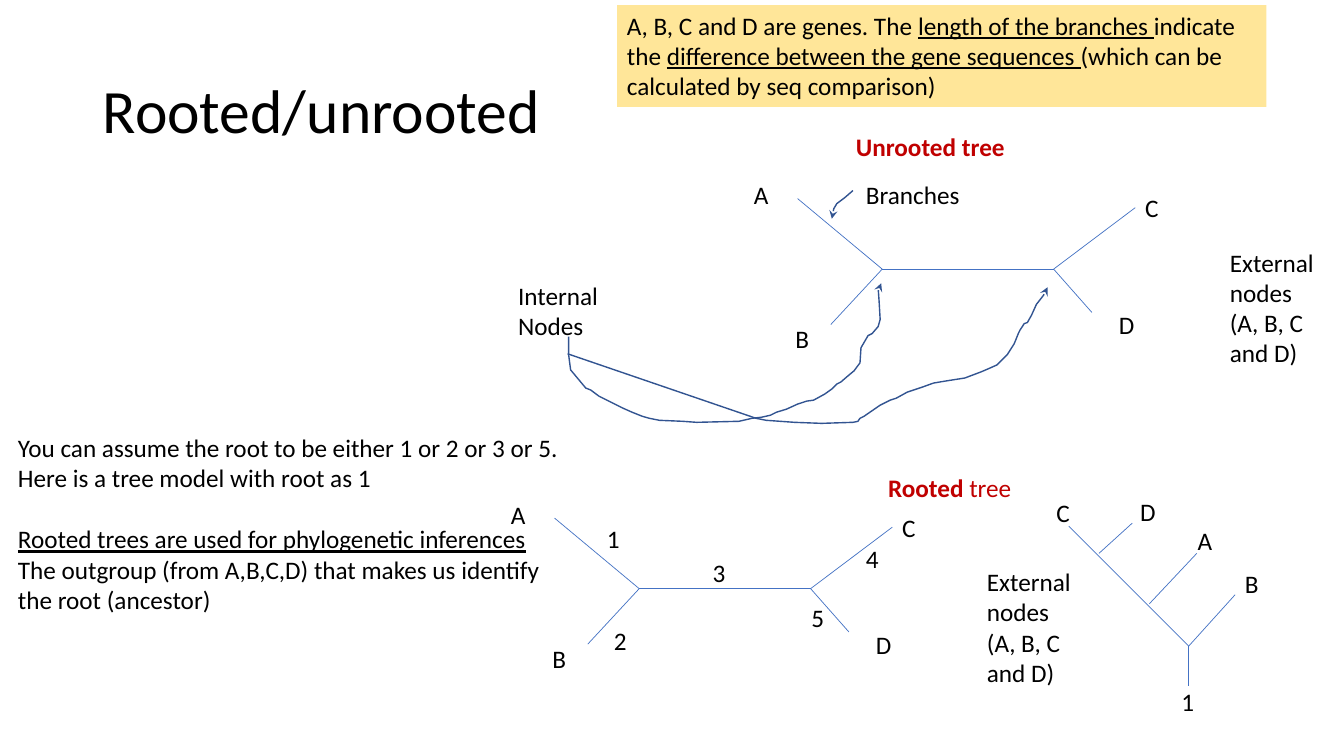
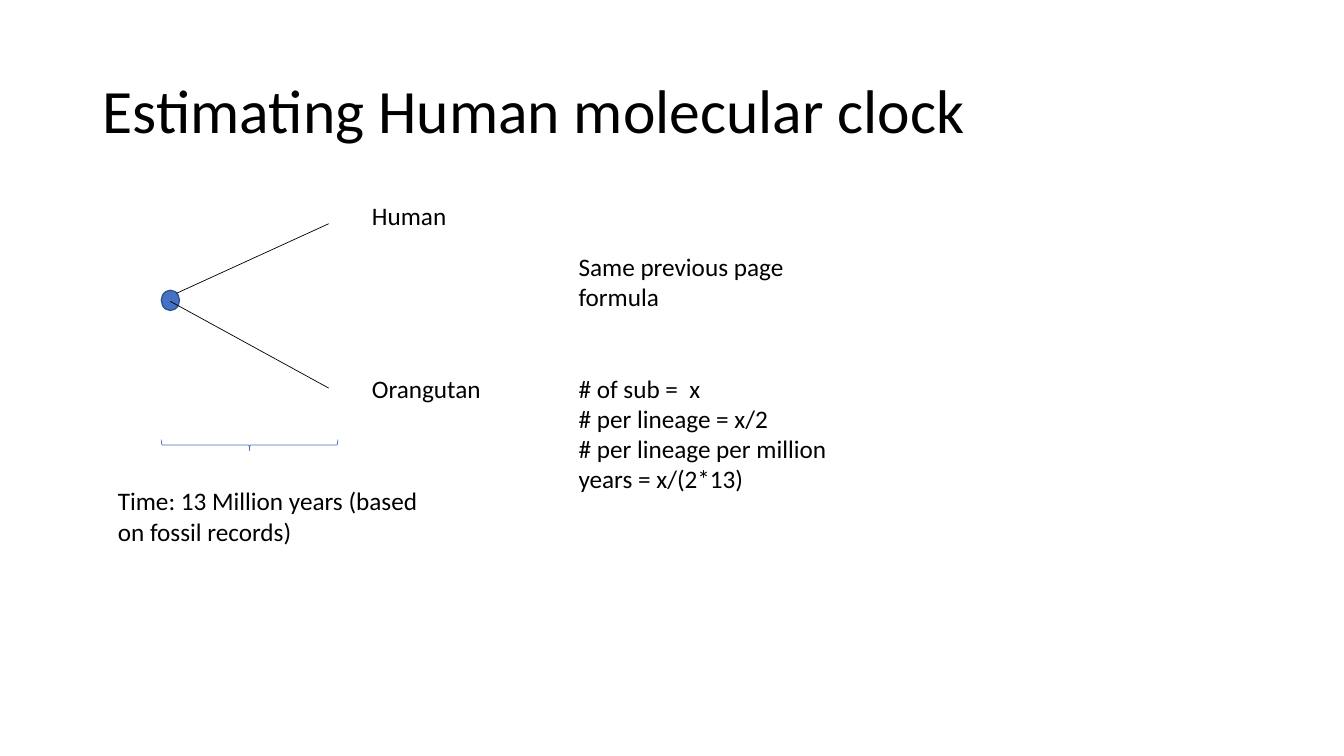
from dataclasses import dataclass

from pptx import Presentation
from pptx.dml.color import RGBColor
from pptx.enum.shapes import MSO_CONNECTOR, MSO_SHAPE
from pptx.enum.text import MSO_ANCHOR, PP_ALIGN
from pptx.oxml.ns import qn
from pptx.util import Inches, Pt
from lxml.etree import SubElement


@dataclass(frozen=True)
class Theme:
    font: str = "Calibri"
    title_size: int = 44
    body_size: int = 18
    blank_line: int = 22
    thin: float = 0.5
    ink_width: float = 1
    black: str = "000000"
    blue: str = "4472C4"
    ink: str = "325491"
    red: str = "C00000"
    sand: str = "FFE699"


T = Theme()
WIDTH, HEIGHT = 13.33, 7.5
TITLE_BOX = (0.92, 0.4, 11.5, 1.45)
LINE_H = 0.4

# A paragraph is a string or a list of runs; a run is (text, style letters).
PLAIN, BOLD, UNDERLINE = "", "b", "u"

# Slide 1: four-gene tree, measured from its left internal node
FORK = 1.7
GENE_BRANCHES = [
    ((-0.84, -0.7), (0, 0)), ((0, 0), (FORK, 0)), ((FORK, 0), (2.51, -0.61)),
    ((FORK, 0), (2.08, 0.43)), ((0, 0), (-0.51, 0.55)),
]
GENE_LABELS = [("A", -1.37, -0.94), ("C", 2.51, -0.81),
               ("D", 2.25, 0.35), ("B", -0.96, 0.49)]
UNROOTED_NODE, NUMBERED_NODE = (8.75, 2.67), (6.34, 5.84)
BRANCH_NUMBERS = [("1", -0.42, -0.7), ("2", -0.35, 0.31), ("3", 0.63, -0.36),
                  ("4", 2.15, -0.5), ("5", 1.61, 0.09)]

# Slide 1: tree rooted at 1, measured from its root node
ROOT_NODE = (11.79, 6.41)
ROOTED_BRANCHES = [
    ((-1.19, -1.19), (0, 0)), ((-0.89, -0.92), (-0.56, -1.22)),
    ((-0.39, -0.42), (0.08, -0.92)), ((0, 0), (0.46, -0.51)), ((0, 0), (0, 0.4)),
]
ROOTED_LABELS = [("C", -1.41, -1.53), ("D", -0.58, -1.54), ("A", -0.01, -1.25),
                 ("B", 0.46, -0.82), ("1", -0.17, 0.35)]

EXTERNAL = ["External nodes (A, B, C and D)"]
TREE_NOTES = [
    ((8.49, 1.73, 1.52, LINE_H), ["Branches"], T.black),
    ((12.1, 2.4, 1.1, 1.31), EXTERNAL, T.black),
    ((9.69, 5.57, 1.1, 1.31), EXTERNAL, T.black),
    ((5.04, 2.73, 1.1, 0.71), ["Internal Nodes"], T.black),
    ((8.39, 1.25, 2.09, LINE_H), [[("Unrooted tree", BOLD)]], T.red),
    ((8.71, 4.64, 2.09, LINE_H), [[("Rooted", BOLD), (" tree", PLAIN)]], T.red),
]
ROOT_NOTE = [
    "You can assume the root to be either 1 or 2 or 3 or 5. "
    "Here is a tree model with root as 1",
    [("Rooted trees are used for phylogenetic inferences", UNDERLINE)],
    "The outgroup (from A,B,C,D) that makes us identify the root (ancestor)",
]
GENE_NOTE = [[
    ("A, B, C and D are genes. The ", PLAIN),
    ("length of the branches ", UNDERLINE),
    ("indicate the ", PLAIN),
    ("difference between the gene sequences ", UNDERLINE),
    ("(which can be calculated by seq comparison)", PLAIN),
]]

# Hand-drawn arrows; each ends in its arrowhead
INK_ARROWS = [
    [(8.46, 1.89), (8.38, 1.96), (8.3, 2.02), (8.27, 2.07), (8.25, 2.17)],
    [(5.64, 3.34), (5.64, 3.52), (5.66, 3.67), (5.71, 3.73), (5.81, 3.85),
     (5.86, 3.87), (5.94, 3.93), (6.06, 3.99), (6.18, 4.05), (6.27, 4.09),
     (6.37, 4.13), (6.44, 4.15), (6.54, 4.17), (6.77, 4.18), (6.91, 4.19),
     (7.33, 4.18), (7.46, 4.15), (7.55, 4.14), (7.64, 4.12), (7.7, 4.09),
     (7.8, 4.06), (7.91, 4.01), (8, 3.98), (8.07, 3.97), (8.18, 3.91),
     (8.25, 3.86), (8.3, 3.81), (8.34, 3.79), (8.41, 3.73), (8.47, 3.68),
     (8.53, 3.6), (8.54, 3.45), (8.61, 3.33), (8.65, 3.31), (8.71, 3.24),
     (8.73, 3.17), (8.72, 3), (8.71, 2.86), (8.74, 2.81)],
    [(5.63, 3.51), (7.5, 4.15), (7.6, 4.17), (7.88, 4.19), (8.15, 4.2),
     (8.46, 4.19), (8.51, 4.18), (8.53, 4.15), (8.57, 4.13), (8.73, 4.02),
     (8.83, 3.97), (8.89, 3.95), (9, 3.89), (9.15, 3.84), (9.26, 3.8),
     (9.38, 3.78), (9.57, 3.75), (9.73, 3.69), (9.8, 3.66), (9.89, 3.62),
     (9.99, 3.52), (10.06, 3.41), (10.1, 3.31), (10.12, 3.27), (10.16, 3.21),
     (10.19, 3.2), (10.23, 3.13), (10.28, 3.02), (10.35, 2.93), (10.39, 2.85)],
]

# Slide 2
LINEAGES = [((1.75, 2.91), (3.26, 2.22)), ((1.69, 2.99), (3.26, 3.85))]
CLOCK_NOTES = [
    ((3.59, 1.94, 2.29, LINE_H), ["Human"]),
    ((3.59, 3.65, 2.29, LINE_H), ["Orangutan"]),
    ((1.07, 4.77, 3.22, 0.71), ["Time: 13 Million years (based on fossil records)"]),
]
FORMULA = ["Same previous page formula", "# of sub =  x", "# per lineage = x/2",
           "# per lineage per million years = x/(2*13)"]


def rgb(color):
    return RGBColor.from_string(color)


def inches(values):
    return [Inches(v) for v in values]


def set_font(r, size, color, style=PLAIN):
    r.font.name, r.font.size = T.font, Pt(size)
    r.font.color.rgb = rgb(color)
    r.font.bold, r.font.underline = BOLD in style, UNDERLINE in style


def set_line(s, color, width):
    s.line.color.rgb = rgb(color)
    s.line.width = Pt(width)


def add_slide(prs, title):
    slide = prs.slides.add_slide(prs.slide_layouts[5])
    s = slide.shapes.title
    s.left, s.top, s.width, s.height = inches(TITLE_BOX)
    tf = s.text_frame
    tf.text, tf.vertical_anchor = title, MSO_ANCHOR.MIDDLE
    p = tf.paragraphs[0]
    p.alignment, p.line_spacing = PP_ALIGN.LEFT, 0.9
    set_font(p.runs[0], T.title_size, T.black)
    return slide


def add_text(slide, box, paragraphs, color=T.black, gaps=None):
    """gaps maps a paragraph's index to the blank lines above it."""
    s = slide.shapes.add_textbox(*inches(box))
    tf = s.text_frame
    tf.word_wrap = True
    for i, runs in enumerate(paragraphs):
        p = tf.paragraphs[0] if i == 0 else tf.add_paragraph()
        p.space_before = Pt(T.blank_line * (gaps or {}).get(i, 0))
        for text, style in [(runs, PLAIN)] if isinstance(runs, str) else runs:
            r = p.add_run()
            r.text = text
            set_font(r, T.body_size, color, style)
    return s


def add_line(slide, start, end, color):
    s = slide.shapes.add_connector(MSO_CONNECTOR.STRAIGHT, *inches(start + end))
    set_line(s, color, T.thin)
    SubElement(s._element.spPr, qn("a:effectLst"))


def add_tree(slide, node, branches, labels, label_width):
    def place(x, y):
        return node[0] + x, node[1] + y

    for start, end in branches:
        add_line(slide, place(*start), place(*end), T.blue)
    for text, x, y in labels:
        add_text(slide, (*place(x, y), label_width, LINE_H), [text])


def add_ink_arrow(slide, points):
    start, *rest = [inches(pt) for pt in points]
    builder = slide.shapes.build_freeform(*start)
    builder.add_line_segments(rest, close=False)
    s = builder.convert_to_shape()
    s.shadow.inherit = False
    s.fill.background()
    set_line(s, T.ink, T.ink_width)
    SubElement(s.line._get_or_add_ln(), qn("a:tailEnd"), type="stealth")


def build_trees(prs):
    slide = add_slide(prs, "Rooted/unrooted")
    # Trees
    for node in (UNROOTED_NODE, NUMBERED_NODE):
        add_tree(slide, node, GENE_BRANCHES, GENE_LABELS, 0.74)
    add_tree(slide, NUMBERED_NODE, [], BRANCH_NUMBERS, 0.44)
    add_tree(slide, ROOT_NODE, ROOTED_BRANCHES, ROOTED_LABELS, 0.5)
    # Notes and arrows
    for box, paragraphs, color in TREE_NOTES:
        add_text(slide, box, paragraphs, color)
    for points in INK_ARROWS:
        add_ink_arrow(slide, points)
    add_text(slide, (0.08, 4.24, 5.6, 1.92), ROOT_NOTE, gaps={1: 1})
    s = add_text(slide, (6.12, 0.05, 6.44, 1.01), GENE_NOTE)
    s.fill.solid()
    s.fill.fore_color.rgb = rgb(T.sand)


def build_clock(prs):
    slide = add_slide(prs, "Estimating Human molecular clock")
    # Common ancestor and lineages
    s = slide.shapes.add_shape(MSO_SHAPE.OVAL, *inches((1.6, 2.88, 0.18, 0.2)))
    s.shadow.inherit = False
    s.fill.solid()
    s.fill.fore_color.rgb = rgb(T.blue)
    set_line(s, T.ink, T.ink_width)
    for start, end in LINEAGES:
        add_line(slide, start, end, T.black)
    # Time span
    s = slide.shapes.add_shape(MSO_SHAPE.LEFT_BRACE, *inches((2.42, 3.54, 0.11, 1.75)))
    s.rotation = 270
    s.shadow.inherit = False
    s.fill.background()
    set_line(s, T.blue, T.thin)
    # Notes
    for box, paragraphs in CLOCK_NOTES:
        add_text(slide, box, paragraphs)
    add_text(slide, (5.64, 2.44, 2.73, 2.52), FORMULA, gaps={1: 2})


def main():
    prs = Presentation()
    prs.slide_width, prs.slide_height = inches((WIDTH, HEIGHT))
    build_trees(prs)
    build_clock(prs)
    prs.save("out.pptx")


if __name__ == "__main__":
    main()
